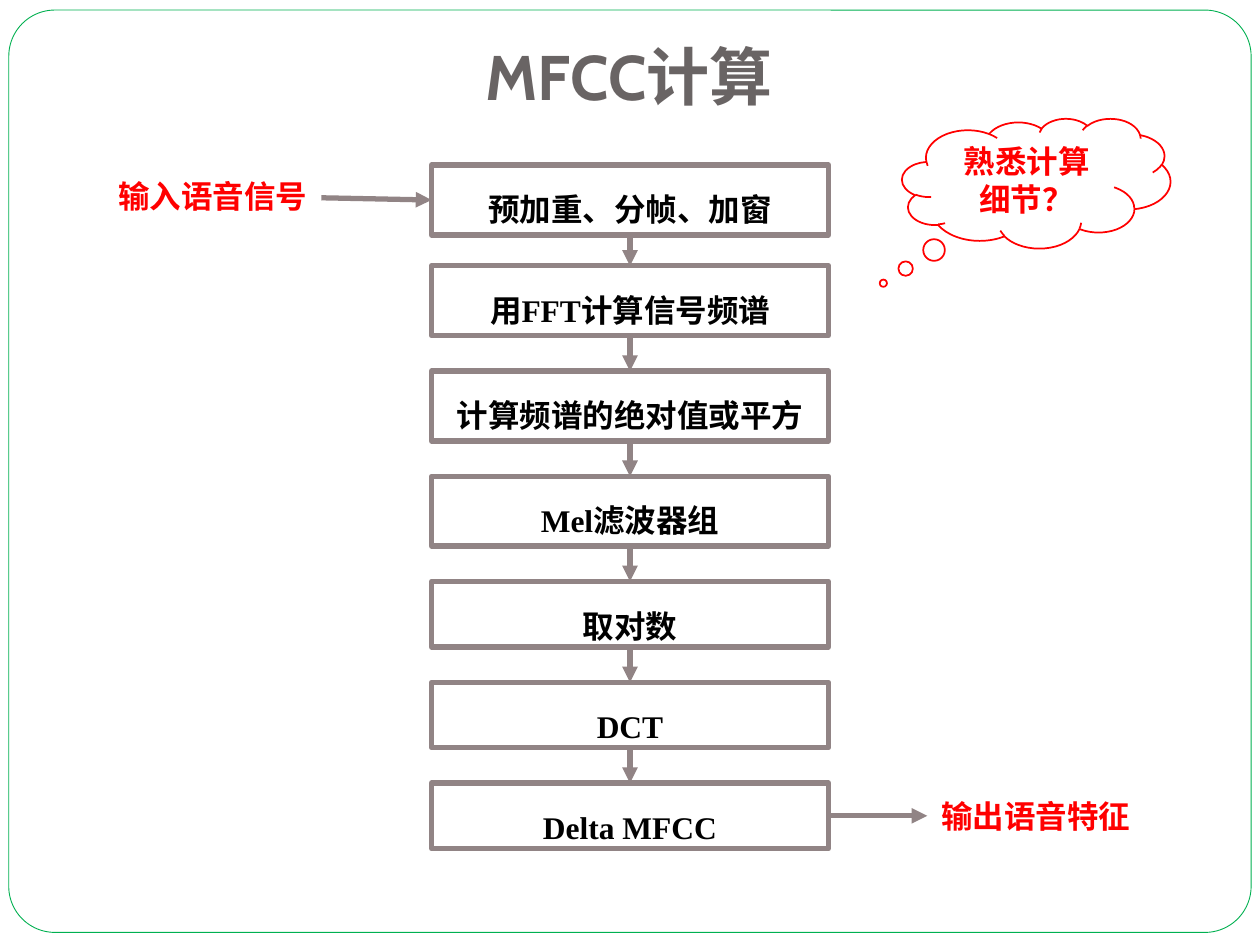
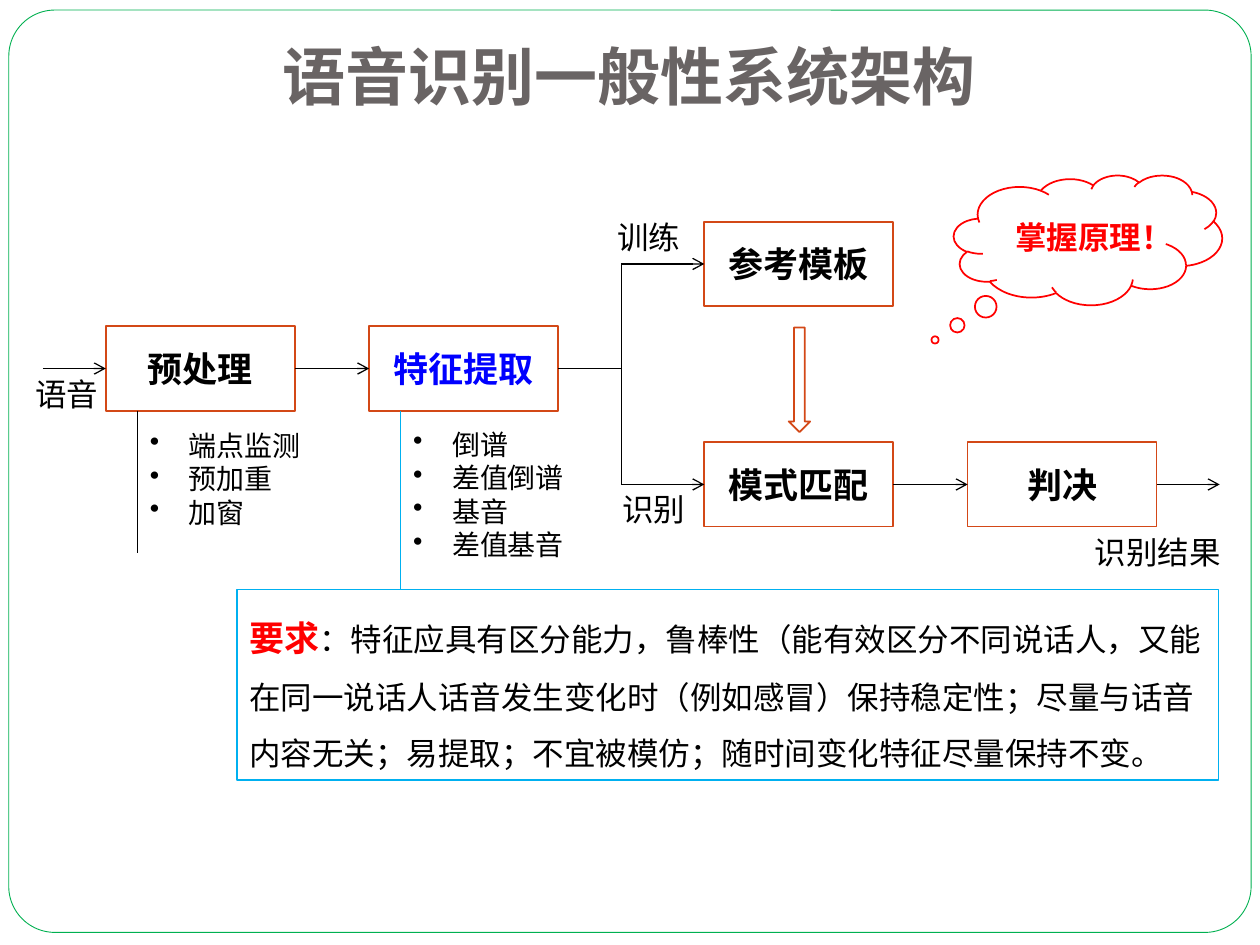
import dataclasses
import itertools
import typing

import lxml.etree
import pptx
import pptx.dml.color
import pptx.enum.shapes
import pptx.enum.text
import pptx.oxml.ns
import pptx.util

SHAPE = pptx.enum.shapes.MSO_SHAPE
ANCHOR = pptx.enum.text.MSO_ANCHOR
ALIGN = pptx.enum.text.PP_ALIGN
FIT = pptx.enum.text.MSO_AUTO_SIZE


@dataclasses.dataclass(frozen=True)
class Theme:
    white: str = "FFFFFF"
    black: str = "000000"
    red: str = "FF0000"
    blue: str = "0000FF"
    sky: str = "00B0F0"
    green: str = "00B050"
    orange: str = "D34817"
    taupe: str = "918485"
    title_gray: str = "696464"
    title_font: str = "Cabin"
    serif: str = "Times New Roman"
    sans: str = "DejaVu Sans"
    callout_font: str = "Arial"
    title_size: int = 36
    block_size: int = 20
    text_size: int = 18
    list_size: int = 16


THEME = Theme()
COLUMNS, ROWS = 100, 75
CELL = pptx.util.Inches(10) // COLUMNS


class Box(typing.NamedTuple):
    """An area in columns and rows of the slide grid."""
    left: float
    top: float
    width: float
    height: float

    @property
    def right(self) -> float:
        return self.left + self.width

    @property
    def bottom(self) -> float:
        return self.top + self.height

    @property
    def center(self) -> float:
        return self.left + self.width / 2

    @property
    def middle(self) -> float:
        return self.top + self.height / 2


class Style(typing.NamedTuple):
    size: int
    font: str
    color: str = THEME.black
    bold: bool = False


class Line(typing.NamedTuple):
    color: str
    width: float
    head: str = ""


class Run(typing.NamedTuple):
    text: str
    style: Style


class Block(typing.NamedTuple):
    text: str
    box: Box
    color: str = THEME.black


class Step(typing.NamedTuple):
    text: str
    height: float
    gap_after: float


class Label(typing.NamedTuple):
    text: str
    box: Box


class BulletList(typing.NamedTuple):
    items: tuple[str, ...]
    box: Box
    rule_bottom: float
    rule_color: str


TITLE = Style(THEME.title_size, THEME.title_font, THEME.title_gray, True)
STEP = Style(THEME.text_size, THEME.serif, bold=True)
SIGNAL = Style(THEME.text_size, THEME.sans, THEME.red, True)
CALLOUT = Style(THEME.text_size, THEME.callout_font, THEME.red, True)
BODY = Style(THEME.text_size, THEME.serif)
BULLET = Style(THEME.list_size, THEME.serif)
LEAD = Style(THEME.block_size, THEME.serif, THEME.red, True)

STEP_LINE = Line(THEME.taupe, 3, "triangle")
BLOCK_LINE = Line(THEME.orange, 1)
FLOW = Line(THEME.black, 0.75, "arrow")
PLAIN = Line(THEME.black, 0.75)
NOTE_LINE = Line(THEME.sky, 0.75)

TITLE_BOX = Box(3.3, 1.3, 93.3, 8.7)
FRAME_BOX = Box(0.7, 0.8, 98.6, 73.2)
CALLOUT_SIZE = (21.3, 10.3)


def rgb(color: str) -> pptx.dml.color.RGBColor:
    return pptx.dml.color.RGBColor.from_string(color)


def apply(target: typing.Any, values: dict[str, typing.Any]) -> None:
    for name, value in values.items():
        setattr(target, name, value)


def grid(*cells: float) -> list[int]:
    return [round(c * CELL) for c in cells]


def write(sp, paragraphs: list[list[Run]], align=ALIGN.LEFT, spacing=None,
          bullet: str = "", **frame) -> None:
    """Fill a shape with paragraphs; frame holds text frame attributes."""
    tf = sp.text_frame
    apply(tf, {"word_wrap": True, "vertical_anchor": ANCHOR.TOP} | frame)
    for i, runs in enumerate(paragraphs):
        p = tf.add_paragraph() if i else tf.paragraphs[0]
        p.alignment = align
        if spacing:
            p.line_spacing = spacing
        if bullet:
            pPr = p._p.get_or_add_pPr()
            indent = grid(3.1)[0]
            pPr.set("marL", str(indent))
            pPr.set("indent", str(-indent))
            mark = lxml.etree.SubElement(pPr, pptx.oxml.ns.qn("a:buChar"))
            mark.set("char", bullet)
        for run in runs:
            r = p.add_run()
            r.text = run.text
            style = run.style
            apply(r.font, {"size": pptx.util.Pt(style.size),
                           "name": style.font, "bold": style.bold})
            r.font.color.rgb = rgb(style.color)


def set_line(line, look: Line) -> None:
    line.color.rgb = rgb(look.color)
    line.width = pptx.util.Pt(look.width)


def add_shape(slide, kind, box: Box, look: Line, filled: bool = True):
    sp = slide.shapes.add_shape(kind, *grid(*box))
    sp.shadow.inherit = False
    if filled:
        sp.fill.solid()
        sp.fill.fore_color.rgb = rgb(THEME.white)
    else:
        sp.fill.background()
    set_line(sp.line, look)
    return sp


def add_text(slide, box: Box, paragraphs: list[list[Run]], **options) -> None:
    write(slide.shapes.add_textbox(*grid(*box)), paragraphs, **options)


def add_label(slide, label: Label, style: Style, align=ALIGN.LEFT) -> None:
    add_text(slide, label.box, [[Run(label.text, style)]], align=align,
             word_wrap=False, auto_size=FIT.SHAPE_TO_FIT_TEXT)


def add_line(slide, x1: float, y1: float, x2: float, y2: float,
             look: Line) -> None:
    straight = pptx.enum.shapes.MSO_CONNECTOR.STRAIGHT
    cxn = slide.shapes.add_connector(straight, *grid(x1, y1, x2, y2))
    set_line(cxn.line, look)
    spPr = cxn._element.spPr
    if look.head:
        ln = spPr.find(pptx.oxml.ns.qn("a:ln"))
        tail = lxml.etree.SubElement(ln, pptx.oxml.ns.qn("a:tailEnd"))
        tail.set("type", look.head)
    lxml.etree.SubElement(spPr, pptx.oxml.ns.qn("a:effectLst"))


def add_callout(slide, text: str, left: float, top: float) -> None:
    sp = add_shape(slide, SHAPE.CLOUD_CALLOUT, Box(left, top, *CALLOUT_SIZE),
                   Line(THEME.red, 1))
    sp.adjustments[0], sp.adjustments[1] = -0.57, 0.77
    write(sp, [[Run(text, CALLOUT)]], align=ALIGN.CENTER,
          vertical_anchor=ANCHOR.MIDDLE)


def new_slide(prs, title: str):
    """Add a blank slide with the shared frame and title."""
    slide = prs.slides.add_slide(prs.slide_layouts[6])
    frame = add_shape(slide, SHAPE.ROUNDED_RECTANGLE, FRAME_BOX,
                      Line(THEME.green, 0.5))
    frame.adjustments[0] = 0.05
    add_text(slide, TITLE_BOX, [[Run(title, TITLE)]], align=ALIGN.CENTER,
             vertical_anchor=ANCHOR.BOTTOM, margin_bottom=grid(1)[0])
    return slide


def build_mfcc(prs) -> None:
    slide = new_slide(prs, "MFCC计算")
    tall, low, gap = 5.55, 5.2, 2.8
    steps = (
        Step("预加重、分帧、加窗", tall, 2.45),
        Step("用FFT计算信号频谱", tall, gap),
        Step("计算频谱的绝对值或平方", tall, gap),
        Step("Mel滤波器组", tall, gap),
        Step("取对数", low, gap),
        Step("DCT", low, gap),
        Step("Delta MFCC", low, gap),
    )
    tops = itertools.accumulate((s.height + s.gap_after for s in steps),
                                initial=13.1)
    boxes = [Box(34.25, top, 31.5, s.height) for top, s in zip(tops, steps)]
    for step, box in zip(steps, boxes):
        sp = add_shape(slide, SHAPE.RECTANGLE, box, STEP_LINE)
        write(sp, [[Run(step.text, STEP)]], align=ALIGN.CENTER, spacing=1.5,
              auto_size=FIT.SHAPE_TO_FIT_TEXT)
    for upper, lower in itertools.pairwise(boxes):
        add_line(slide, upper.center, upper.bottom, lower.center, lower.top,
                 STEP_LINE)

    source = Label("输入语音信号", Box(8.3, 13.6, 17.2, 4))
    result = Label("输出语音特征", Box(73.6, 62.8, 17.2, 4))
    first, last = boxes[0], boxes[-1]
    add_line(slide, source.box.right, 15.7, first.left, first.middle, STEP_LINE)
    add_line(slide, last.right, last.middle, result.box.left, last.middle,
             STEP_LINE)
    for label in (source, result):
        add_label(slide, label, SIGNAL, ALIGN.CENTER)
    add_callout(slide, "熟悉计算细节？", 71.6, 9.4)


def build_architecture(prs) -> None:
    slide = new_slide(prs, "语音识别一般性系统架构")
    size, pitch = (15, 6.7), 20.9
    left, right = 8.4, 55.9
    prepare = Block("预处理", Box(left, 25.9, *size))
    extract = Block("特征提取", Box(left + pitch, 25.9, *size), THEME.blue)
    template = Block("参考模板", Box(right, 17.6, *size))
    match = Block("模式匹配", Box(right, 35.1, *size))
    decide = Block("判决", Box(right + pitch, 35.1, *size))
    for block in (prepare, extract, template, match, decide):
        sp = add_shape(slide, SHAPE.RECTANGLE, block.box, BLOCK_LINE)
        style = Style(THEME.block_size, THEME.sans, block.color, True)
        write(sp, [[Run(block.text, style)]], align=ALIGN.CENTER,
              word_wrap=False, vertical_anchor=ANCHOR.MIDDLE)

    stub = 5
    fork = extract.box.right + stub
    main, train, test = (b.box.middle for b in (prepare, template, match))
    for x1, x2, y, look in (
        (prepare.box.left - stub, prepare.box.left, main, FLOW),
        (prepare.box.right, extract.box.left, main, FLOW),
        (extract.box.right, fork, main, PLAIN),
        (fork, template.box.left, train, FLOW),
        (fork, match.box.left, test, FLOW),
        (match.box.right, decide.box.left, test, FLOW),
        (decide.box.right, decide.box.right + stub, test, FLOW),
    ):
        add_line(slide, x1, y, x2, y, look)
    add_line(slide, fork, train, fork, test, PLAIN)
    add_shape(slide, SHAPE.DOWN_ARROW, Box(62.6, 26, 1.7, 8.3), BLOCK_LINE)

    for label in (
        Label("语音", Box(1.8, 29.3, 7.1, 4)),
        Label("训练", Box(48, 16.8, 7.1, 4)),
        Label("识别", Box(48.4, 38.4, 7.1, 4)),
        Label("识别结果", Box(85.9, 41.8, 12.1, 4)),
    ):
        add_label(slide, label, BODY)

    note = Box(18.8, 46.8, 77.9, 15.1)
    for block, group in (
        (prepare, BulletList(("端点监测", "预加重", "加窗"),
                             Box(10.9, 33.5, 14.2, 9.1), 43.9, THEME.black)),
        (extract, BulletList(("倒谱", "差值倒谱", "基音", "差值基音"),
                             Box(31.8, 33.4, 14.2, 14.5), note.top, THEME.sky)),
    ):
        x = group.box.left
        add_line(slide, x, block.box.bottom, x, group.rule_bottom,
                 Line(group.rule_color, 0.75))
        add_text(slide, group.box, [[Run(t, BULLET)] for t in group.items],
                 bullet="•", word_wrap=False, auto_size=FIT.SHAPE_TO_FIT_TEXT)

    sp = add_shape(slide, SHAPE.RECTANGLE, note, NOTE_LINE, filled=False)
    demand = ("：特征应具有区分能力，鲁棒性（能有效区分不同说话人，又能在同一说话人话音发生变化时"
              "（例如感冒）保持稳定性；尽量与话音内容无关；易提取；不宜被模仿；"
              "随时间变化特征尽量保持不变。")
    write(sp, [[Run("要求", LEAD), Run(demand, BODY)]], spacing=1.5,
          auto_size=FIT.SHAPE_TO_FIT_TEXT)
    add_callout(slide, "掌握原理！", 75.7, 13.9)


def main() -> None:
    prs = pptx.Presentation()
    apply(prs, {"slide_width": COLUMNS * CELL, "slide_height": ROWS * CELL})
    build_mfcc(prs)
    build_architecture(prs)
    prs.save("out.pptx")


if __name__ == "__main__":
    main()
